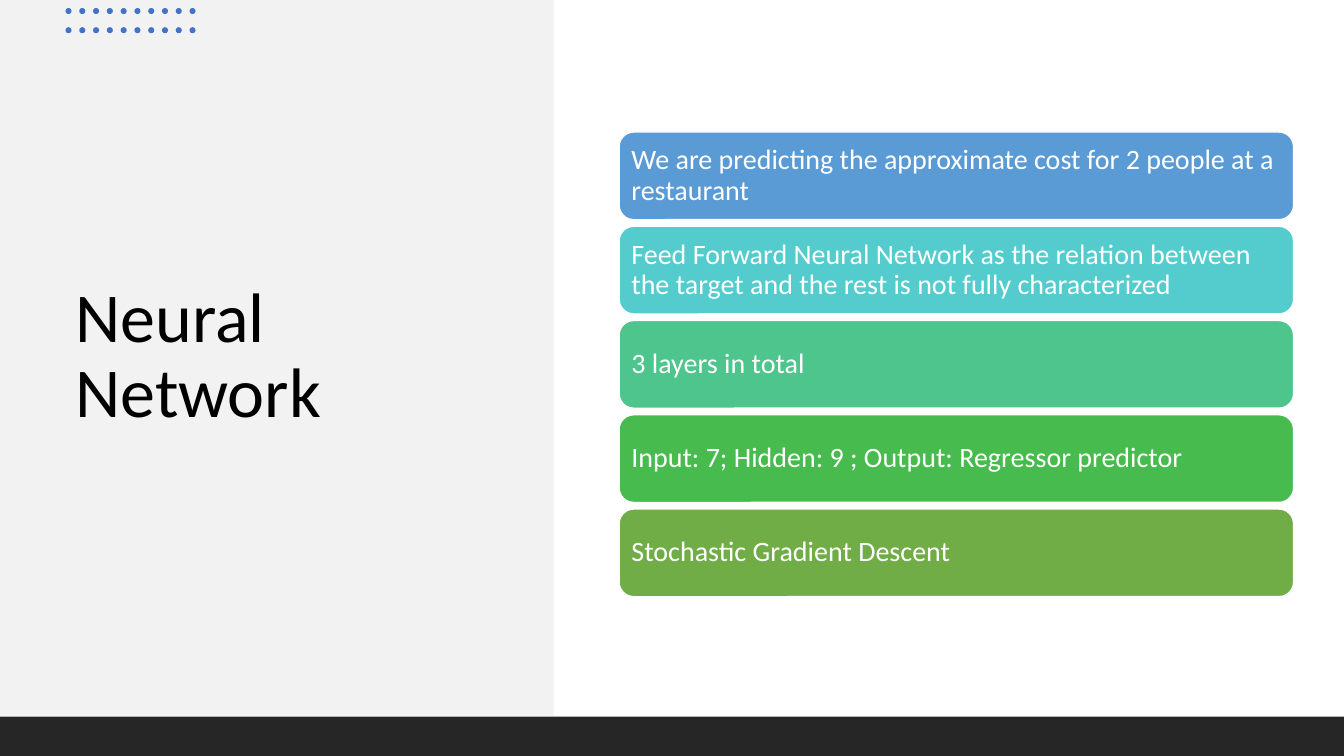
from dataclasses import dataclass

from pptx import Presentation
from pptx.dml.color import RGBColor
from pptx.enum.shapes import MSO_SHAPE as Shape
from pptx.enum.text import MSO_ANCHOR as Anchor, PP_ALIGN as Align
from pptx.util import Inches, Pt


@dataclass(frozen=True)
class Theme:
    font: str = "Calibri"
    title_size: int = 50
    card_size: int = 20
    title_text: str = "000000"
    light: str = "FFFFFF"
    panel: str = "F2F2F2"
    footer: str = "262626"
    dot: str = "4472C4"


THEME = Theme()
SLIDE_WIDTH, SLIDE_HEIGHT = 13.33, 7.5

CARDS = [
    ("We are predicting the approximate cost for 2 people at a restaurant", "5B9BD5"),
    ("Feed Forward Neural Network as the relation between the target "
     "and the rest is not fully characterized", "54CCCD"),
    ("3 layers in total", "4DC58D"),
    ("Input: 7; Hidden: 9 ; Output: Regressor predictor", "48BB4F"),
    ("Stochastic Gradient Descent", "70AD47"),
]


def spread(first, last, count):
    """Evenly spaced positions from first to last."""
    step = (last - first) / (count - 1)
    return [first + step * index for index in range(count)]


def add_filled(shapes, kind, box, color, outline=None):
    shape = shapes.add_shape(kind, *map(Inches, box))
    shape.shadow.inherit = False
    shape.fill.solid()
    shape.fill.fore_color.rgb = RGBColor.from_string(color)
    if outline:
        shape.line.color.rgb = RGBColor.from_string(outline)
        shape.line.width = Pt(1)
    else:
        shape.line.fill.background()
    return shape


def write_text(shape, text, size, color, side_inset, end_inset):
    frame = shape.text_frame
    frame_format = {
        "word_wrap": True,
        "vertical_anchor": Anchor.MIDDLE,
        "margin_left": Inches(side_inset),
        "margin_right": Inches(side_inset),
        "margin_top": Inches(end_inset),
        "margin_bottom": Inches(end_inset),
    }
    for name, value in frame_format.items():
        setattr(frame, name, value)
    paragraph = frame.paragraphs[0]
    paragraph.text = text
    paragraph.alignment = Align.LEFT
    paragraph.line_spacing = 0.9
    for name, value in {"name": THEME.font, "size": Pt(size)}.items():
        setattr(paragraph.font, name, value)
    paragraph.font.color.rgb = RGBColor.from_string(color)


def add_title(slide, text):
    title = slide.shapes.add_textbox(*map(Inches, (0.65, 1.32, 4.24, 4.45)))
    write_text(title, text, THEME.title_size, THEME.title_text, 0.1, 0.05)


def add_dot_grid(slide):
    group = slide.shapes.add_group_shape()
    for left in spread(0.65, 1.88, 10):
        for top in (0.08, 0.27):
            add_filled(group.shapes, Shape.OVAL, (left, top, 0.06, 0.06), THEME.dot)


def add_cards(slide):
    group = slide.shapes.add_group_shape()
    for (text, color), top in zip(CARDS, spread(1.31, 5.05, len(CARDS))):
        card = add_filled(group.shapes, Shape.ROUNDED_RECTANGLE,
                          (6.14, top, 6.69, 0.87), color, THEME.light)
        write_text(card, text, THEME.card_size, THEME.light, 0.08, 0.08)


def main():
    presentation = Presentation()
    presentation.slide_width = Inches(SLIDE_WIDTH)
    presentation.slide_height = Inches(SLIDE_HEIGHT)
    slide = presentation.slides.add_slide(presentation.slide_layouts[6])

    # Left panel with title and dots
    add_filled(slide.shapes, Shape.RECTANGLE, (0, 0, 5.49, 7.1), THEME.panel)
    add_title(slide, "Neural Network")
    add_dot_grid(slide)

    # Footer band
    footer_top = 7.11
    add_filled(slide.shapes, Shape.RECTANGLE,
               (0, footer_top, SLIDE_WIDTH, SLIDE_HEIGHT - footer_top), THEME.footer)

    # Stack of key points
    add_cards(slide)

    presentation.save("out.pptx")


if __name__ == "__main__":
    main()
